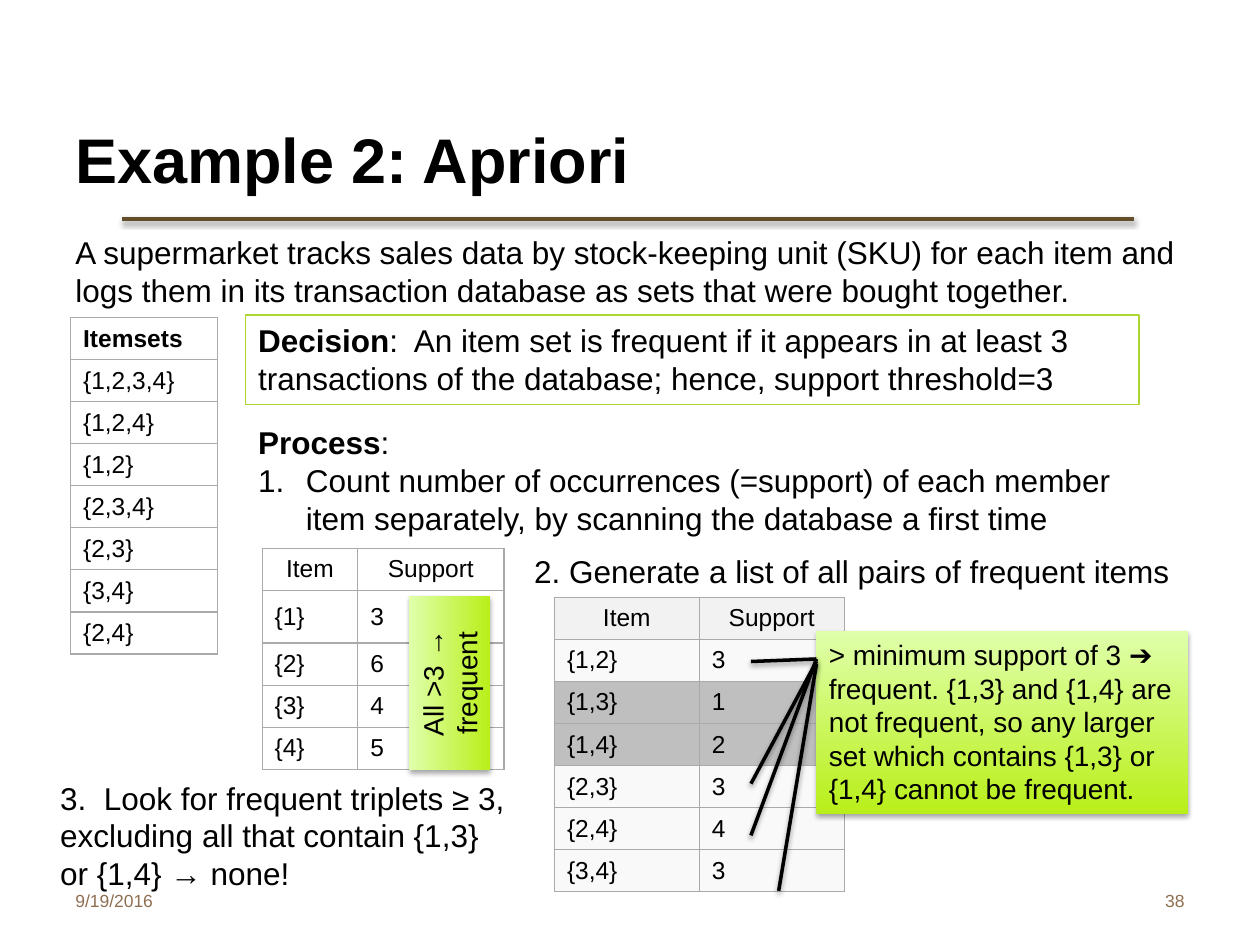
from lxml.etree import SubElement
from pptx import Presentation
from pptx.dml.color import RGBColor
from pptx.enum.shapes import MSO_CONNECTOR, MSO_SHAPE
from pptx.enum.text import MSO_ANCHOR, MSO_AUTO_SIZE, PP_ALIGN
from pptx.oxml.ns import qn
from pptx.util import Inches, Pt

COLORS = {
    "text": "000000",
    "footer": "8F6F52",
    "rule": "634D2A",
    "outline": "ADD632",
    "border": "AAAAAA",
    "lime": "B9EF19",
    "pale_lime": "E0FFAB",
    "white": "FFFFFF",
    "header": "F2F2F2",
    "frequent": "F9F9F9",
    "infrequent": "BFBFBF",
}
FONT = "Arial"


def color(name):
    return RGBColor.from_string(COLORS[name])


def write(para, text, size=18, bold=False, ink="text", align=PP_ALIGN.LEFT):
    para.alignment = align
    span = para.add_run()
    span.text = text
    span.font.name = FONT
    span.font.size = Pt(size)
    span.font.bold = bold
    span.font.color.rgb = color(ink)


class SlideBuilder:
    def __init__(self, page):
        self.page = page

    def shadow(self, shape, alpha, distance):
        effects = SubElement(shape.element.spPr, qn("a:effectLst"))
        outer = SubElement(effects, qn("a:outerShdw"), blurRad=str(Pt(3.1)),
                           dist=str(Pt(distance)), dir="5400000", rotWithShape="0")
        shade = SubElement(outer, qn("a:srgbClr"), val=COLORS["text"])
        SubElement(shade, qn("a:alpha"), val=str(alpha * 1000))

    def frame(self, box, anchor=MSO_ANCHOR.TOP, wrap=True, grow=True):
        frame = box.text_frame
        frame.word_wrap = wrap
        frame.vertical_anchor = anchor
        frame.auto_size = MSO_AUTO_SIZE.SHAPE_TO_FIT_TEXT if grow else MSO_AUTO_SIZE.NONE
        return frame

    def text(self, place, text, anchor=MSO_ANCHOR.TOP, wrap=True, grow=True, **style):
        box = self.page.shapes.add_textbox(*map(Inches, place))
        frame = self.frame(box, anchor, wrap, grow)
        write(frame.paragraphs[0], text, **style)
        return frame

    def numbered(self, frame, text):
        para = frame.add_paragraph()
        props = para._p.get_or_add_pPr()
        props.set("marL", str(Inches(0.38)))
        props.set("indent", str(Inches(-0.38)))
        SubElement(props, qn("a:buFont"), typeface="+mj-lt")
        SubElement(props, qn("a:buAutoNum"), type="arabicPeriod")
        write(para, text)

    def outlined(self, place):
        box = self.page.shapes.add_shape(MSO_SHAPE.RECTANGLE, *map(Inches, place))
        box.fill.background()
        box.line.color.rgb = color("outline")
        box.line.width = Pt(0.75)
        box.shadow.inherit = False
        return self.frame(box)

    def callout(self, place, text, rotation=0, **style):
        box = self.page.shapes.add_shape(MSO_SHAPE.RECTANGLE, *map(Inches, place))
        box.rotation = rotation
        box.fill.gradient()
        box.fill.gradient_angle = 90
        for stop, name in zip(box.fill.gradient_stops, ("lime", "pale_lime")):
            stop.color.rgb = color(name)
        box.line.fill.background()
        self.shadow(box, 35, 1.8)
        write(self.frame(box).paragraphs[0], text, size=16, **style)

    def line(self, start, end, ink="text"):
        line = self.page.shapes.add_connector(
            MSO_CONNECTOR.STRAIGHT, *map(Inches, (*start, *end)))
        line.line.color.rgb = color(ink)
        line.line.width = Pt(2)
        self.shadow(line, 38, 1.6)

    def cell(self, cell, text, fill, **style):
        props = cell._tc.get_or_add_tcPr()
        for side in ("lnL", "lnR", "lnT", "lnB"):
            edge = SubElement(props, qn(f"a:{side}"), w=str(Pt(0.75)))
            paint = SubElement(edge, qn("a:solidFill"))
            SubElement(paint, qn("a:srgbClr"), val=COLORS["border"])
        cell.fill.solid()
        cell.fill.fore_color.rgb = color(fill)
        cell.vertical_anchor = MSO_ANCHOR.MIDDLE
        write(cell.text_frame.paragraphs[0], text, size=14, **style)

    def table(self, corner, widths, rows, fills, header, tall_rows=()):
        row_height = Inches(1 / 3)
        table = self.page.shapes.add_table(
            len(rows), len(widths), *map(Inches, corner),
            Inches(sum(widths)), row_height * len(rows)).table
        table.first_row = table.horz_banding = False
        for column, width in zip(table.columns, widths):
            column.width = Inches(width)
        for index, (values, fill) in enumerate(zip(rows, fills)):
            table.rows[index].height = Inches(0.42) if index in tall_rows else row_height
            style = {} if index else header
            for column, value in enumerate(values):
                self.cell(table.cell(index, column), value, fill, **style)


def main():
    deck = Presentation()
    deck.slide_width, deck.slide_height = Inches(10), Inches(7.5)
    slide = SlideBuilder(deck.slides.add_slide(deck.slide_layouts[6]))
    centered = {"align": PP_ALIGN.CENTER}
    middle = {"anchor": MSO_ANCHOR.MIDDLE, "grow": False}
    footer = {"size": 10, "ink": "footer", **middle}

    slide.line((0.97, 1.74), (9, 1.74), "rule")
    slide.text((0.5, 6.95, 2.33, 0.4), "9/19/2016", **footer)
    slide.text((7.17, 6.95, 2.33, 0.4), "38", align=PP_ALIGN.RIGHT, **footer)
    slide.text((0.5, 0.75, 9, 1.02), "Example 2: Apriori", size=36, bold=True, **middle)
    slide.text((0.5, 1.8, 9, 0.71),
               "A supermarket tracks sales data by stock-keeping unit (SKU) for each item and "
               "logs them in its transaction database as sets that were bought together.")

    itemsets = ["Itemsets", "{1,2,3,4}", "{1,2,4}", "{1,2}", "{2,3,4}", "{2,3}", "{3,4}", "{2,4}"]
    slide.table((0.56, 2.52), [1.17], [[name] for name in itemsets],
                ["white"] * len(itemsets), {"bold": True})

    decision = slide.outlined((1.95, 2.5, 7.09, 0.71)).paragraphs[0]
    write(decision, "Decision", bold=True)
    write(decision, ":  An item set is frequent if it appears in at least 3 transactions "
                    "of the database; hence, support threshold=3")

    process = slide.text((1.95, 3.31, 7.09, 1.01), "Process", bold=True)
    write(process.paragraphs[0], ":")
    slide.numbered(process, "Count number of occurrences (=support) of each member item "
                            "separately, by scanning the database a first time")

    singles = [("Item", "Support"), ("{1}", "3"), ("{2}", "6"), ("{3}", "4"), ("{4}", "5")]
    slide.table((2.08, 4.35), [0.76, 1.16], singles, ["white"] * len(singles),
                centered, tall_rows=(1,))
    slide.callout((2.88, 5.1, 1.38, 0.64), "All >3 → frequent", rotation=270, **centered)

    slide.text((4.14, 4.33, 5.29, 0.4), "2. Generate a list of all pairs of frequent items",
               wrap=False)
    pairs = [("{1,2}", "3"), ("{1,3}", "1"), ("{1,4}", "2"),
             ("{2,3}", "3"), ("{2,4}", "4"), ("{3,4}", "3")]
    fills = ["frequent" if int(support) >= 3 else "infrequent" for _, support in pairs]
    slide.table((4.4, 4.74), [1.15, 1.15], [("Item", "Support"), *pairs],
                ["header", *fills], centered)
    slide.callout((6.48, 5.01, 2.95, 1.45),
                  "> minimum support of 3 ➔ frequent. {1,3} and {1,4} are not frequent, so any "
                  "larger set which contains {1,3} or {1,4} cannot be frequent.")
    for start_y, end in [(5.23, (5.96, 5.25)), (5.25, (5.96, 6.22)),
                         (5.23, (5.96, 6.63)), (5.27, (6.18, 7.07))]:
        slide.line((6.48, start_y), end)

    slide.text((0.38, 6.13, 3.76, 1.01),
               "3.  Look for frequent triplets ≥ 3, excluding all that contain {1,3} or {1,4} → none!")
    deck.save("out.pptx")


if __name__ == "__main__":
    main()
